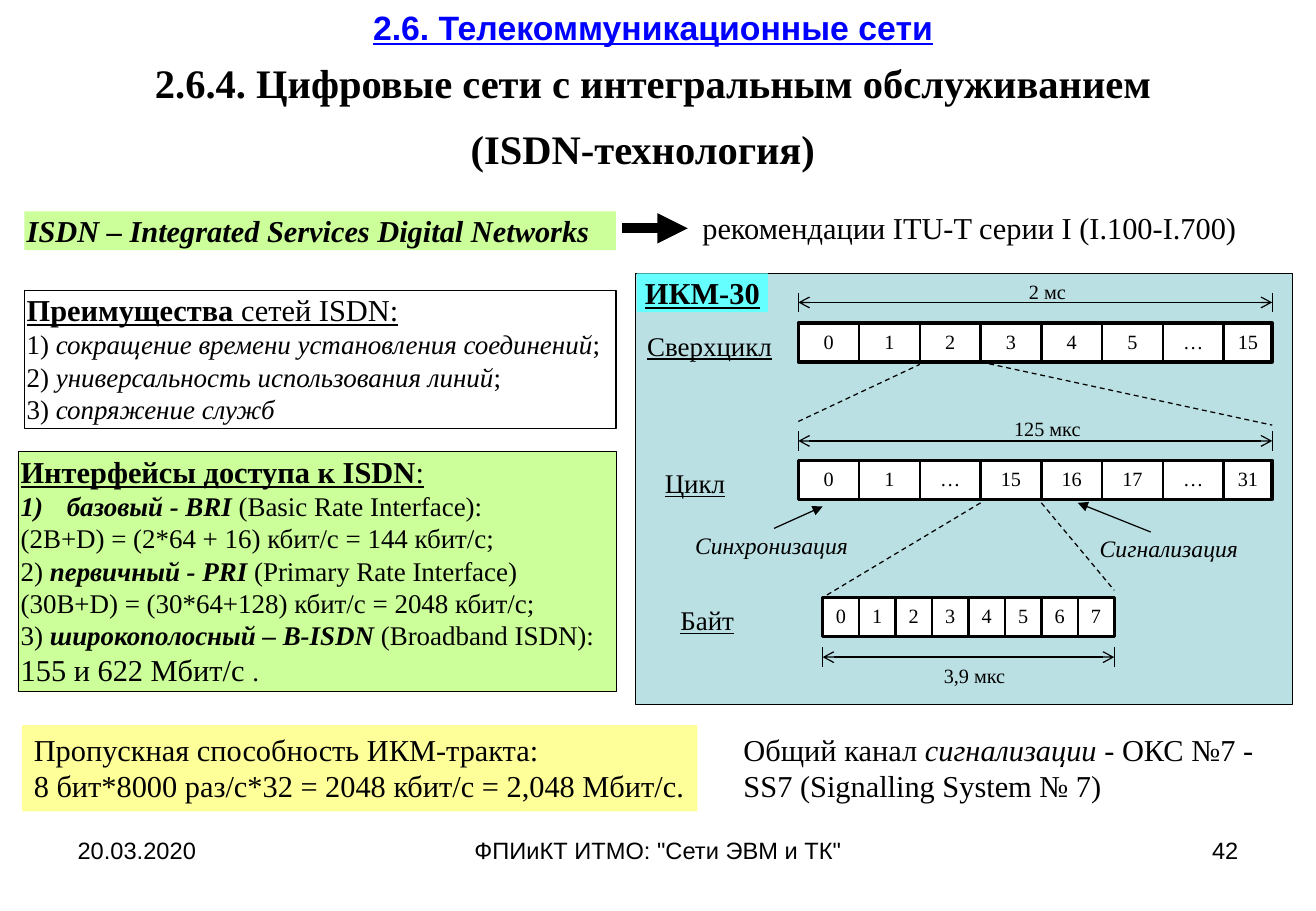
import pptx
import pptx.util
import pptx.dml.color
import pptx.enum.dml
import pptx.enum.shapes
import pptx.enum.text
from lxml import etree

PX = 9144
COLORS = {"black": "000000", "white": "FFFFFF", "blue": "0000FF", "panel": "BBE0E3",
          "green": "CCFF99", "cyan": "66FFFF", "yellow": "FFFF99"}
SERIF, SANS = "Times New Roman", "Arial"
TIGHT, DEFAULT, FLUSH = (2, 1), (10, 5), (0, 5)

TITLE = [
    (23, [("2.6. Телекоммуникационные сети", 20, "bu", SANS, "blue")]),
    (35, [("2.6.4. Цифровые сети с интегральным обслуживанием", 24, "b", SERIF, "black")]),
    (43, [("(ISDN-технология)", 24, "b", SERIF, "black"), (" ", 44, "", SANS, "black")]),
]
PANEL = (523, 225, 541, 355)
BOXES = [
    ((20, 174, 487, 32), "green", 0, TIGHT, "l",
     [[("ISDN – Integrated Services Digital Networks", 18, "bi")]]),
    ((524, 225, 108, 32), "cyan", 0, TIGHT, "c", [[("ИКМ-30", 18, "bu")]]),
    ((18, 597, 556, 71), "yellow", 0, DEFAULT, "l",
     [[("Пропускная способность ИКМ-тракта:", 18, "")],
      [("8 бит*8000 раз/с*32 = 2048 кбит/с = 2,048 Мбит/с.", 18, "")]]),
    ((20, 239, 487, 114), None, 0.75, TIGHT, "l",
     [[("Преимущества ", 18, "bu"), ("сетей ISDN:", 18, "u")],
      [("1) ", 16, ""), ("сокращение времени установления соединений", 16, "i"), (";", 16, "")],
      [("2) ", 16, ""), ("универсальность использования линий", 16, "i"), (";", 16, "")],
      [("3) ", 16, ""), ("сопряжение служб", 16, "i")]]),
    ((15, 372, 492, 197), "green", 0.5, TIGHT, "l",
     [[("Интерфейсы доступа к ISDN", 18, "bu"), (":", 18, "u")],
      [("базовый - BRI", 16, "bin"), (" (Basic Rate Interface):", 16, "")],
      [("(2В+D) = (2*64 + 16) кбит/с = 144 кбит/с;", 16, "")],
      [("2) ", 16, ""), ("первичный - PRI", 16, "bi"), (" (Primary Rate Interface)", 16, "")],
      [("(30В+D) = (30*64+128) кбит/с = 2048 кбит/с;", 16, "")],
      [("3) ", 16, ""), ("широкополосный – B-ISDN", 16, "bi"), (" (Broadband ISDN):", 16, "")],
      [("155 и 622 Мбит/с ", 18, ""), (".", 16, "")]]),
    ((602, 597, 461, 70), None, 0, DEFAULT, "l",
     [[("Общий канал ", 18, ""), ("сигнализации ", 18, "i"),
       ("- ОКС №7 - SS7 (Signalling System № 7)", 18, "")]]),
    ((576, 171, 478, 33), None, 0, TIGHT, "l",
     [[("рекомендации ITU-T серии I (I.100-I.700)", 18, "")]]),
    ((562, 432, 146, 36), None, 0, FLUSH, "c", [[("Синхронизация", 14, "i")]]),
    ((897, 435, 130, 32), None, 0, FLUSH, "c", [[("Сигнализация", 14, "i")]]),
]
FOOTERS = [(54, 253, "l", "20.03.2020"), (370, 343, "c", 'ФПИиКТ ИТМО: "Сети ЭВМ и ТК"'),
           (776, 253, "r", "42")]
STRIPS = [
    ("Сверхцикл", 519, (657, 266, 390), 50, "0 1 2 3 4 5 … 15", 249, "2 мс", (797, 225)),
    ("Цикл", 507, (657, 379, 390), 50, "0 1 … 15 16 17 … 31", 363, "125 мкс", (797, 338)),
    ("Байт", 517, (677, 492, 240), 30, "0 1 2 3 4 5 6 7", 541, "3,9 мкс", (737, 541)),
]
STRIP_H, TICK = 32, 8
ZOOMS = [(657, 347, 757, 300), (807, 298, 1047, 350), (807, 414, 677, 492), (857, 414, 917, 486)]
POINTERS = [(637, 435, 677, 417, 0.75), (947, 438, 887, 414, 0.75), (512, 188, 566, 188, 6)]

ALIGN = {"l": pptx.enum.text.PP_ALIGN.LEFT, "c": pptx.enum.text.PP_ALIGN.CENTER,
         "r": pptx.enum.text.PP_ALIGN.RIGHT}


def rgb(name):
    return pptx.dml.color.RGBColor.from_string(COLORS[name])


def add_drawing(parent, tag, **attrs):
    return etree.SubElement(parent, pptx.oxml.ns.qn("a:" + tag), attrs)


def add_rect(place, fill=None, line=0):
    sp = slide.shapes.add_shape(pptx.enum.shapes.MSO_SHAPE.RECTANGLE, *[v * PX for v in place])
    sp.shadow.inherit = False
    if fill:
        sp.fill.solid()
        sp.fill.fore_color.rgb = rgb(fill)
    else:
        sp.fill.background()
    if line:
        sp.line.color.rgb = rgb("black")
        sp.line.width = pptx.util.Pt(line)
    else:
        sp.line.fill.background()
    return sp


def set_frame(sp, insets):
    tf = sp.text_frame
    tf.word_wrap = True
    tf.vertical_anchor = pptx.enum.text.MSO_ANCHOR.TOP
    tf.margin_left = tf.margin_right = insets[0] * PX
    tf.margin_top = tf.margin_bottom = insets[1] * PX
    return tf


def add_run(p, text, size, style, font=SERIF, color="black"):
    r = p.add_run()
    r.text = text
    r.font.name = font
    r.font.size = pptx.util.Pt(size)
    r.font.bold, r.font.italic, r.font.underline = [flag in style for flag in "biu"]
    r.font.color.rgb = rgb(color)


def write(sp, insets, align, paragraphs):
    tf = set_frame(sp, insets)
    for i, runs in enumerate(paragraphs):
        p = tf.add_paragraph() if i else tf.paragraphs[0]
        p.alignment = ALIGN[align]
        if "n" in runs[0][2]:
            pPr = p._p.get_or_add_pPr()
            pPr.set("marL", str(38 * PX))
            pPr.set("indent", str(-38 * PX))
            add_drawing(pPr, "buFont", typeface=SERIF)
            add_drawing(pPr, "buAutoNum", type="arabicParenR")
        for run in runs:
            add_run(p, *run)


def add_textbox(place, insets, align, paragraphs):
    write(slide.shapes.add_textbox(*[v * PX for v in place]), insets, align, paragraphs)


def add_line(x1, y1, x2, y2, width=0.75, dash=False, head=None, tail=None):
    cn = slide.shapes.add_connector(pptx.enum.shapes.MSO_CONNECTOR.STRAIGHT,
                                    *[v * PX for v in (x1, y1, x2, y2)])
    cn.line.color.rgb = rgb("black")
    cn.line.width = pptx.util.Pt(width)
    if dash:
        cn.line.dash_style = pptx.enum.dml.MSO_LINE.DASH
    ln = cn.line._get_or_add_ln()
    for tag, kind in (("headEnd", head), ("tailEnd", tail)):
        if kind:
            add_drawing(ln, tag, type=kind)
    add_drawing(cn._element.spPr, "effectLst")
    return cn


def add_strip(name, name_x, place, cell, labels, dim_y, dim, dim_at):
    left, top, width = place
    right, bottom = left + width, top + STRIP_H
    labels = labels.split()
    frame = add_rect((left, top, width, STRIP_H), "white", 2)
    p = set_frame(frame, FLUSH).paragraphs[0]
    p.alignment = ALIGN["l"]
    tabs = add_drawing(p._p.get_or_add_pPr(), "tabLst")
    for i in range(len(labels)):
        center = (i * cell + min((i + 1) * cell, width)) // 2
        add_drawing(tabs, "tab", pos=str(center * PX), algn="ctr")
    add_run(p, "".join("\t" + label for label in labels), 12, "")
    for i in range(1, len(labels)):
        x = left + i * cell
        divider = add_line(x, top, x, bottom, 1.5)
        if 2 * i * cell == width:
            divider.begin_connect(frame, 0)
            divider.end_connect(frame, 2)
    for x in (left, right):
        add_line(x, dim_y - TICK, x, dim_y + TICK)
    add_line(left, dim_y, right, dim_y, head="arrow", tail="arrow")
    add_textbox((*dim_at, 130, 24), DEFAULT, "c", [[(dim, 12, "")]])
    add_textbox((name_x, top, 130, STRIP_H), DEFAULT, "c", [[(name, 16, "u")]])


prs = pptx.Presentation()
prs.slide_width, prs.slide_height = 1083 * PX, 750 * PX
slide = prs.slides.add_slide(prs.slide_layouts[6])

add_rect(PANEL, "panel", 0.75)
add_textbox((14, 6, 1047, 148), (10, 1), "c", [runs for _, runs in TITLE])
for p, (spacing, _) in zip(slide.shapes[-1].text_frame.paragraphs, TITLE):
    p.line_spacing = pptx.util.Pt(spacing)
for strip in STRIPS:
    add_strip(*strip)
for zoom in ZOOMS:
    add_line(*zoom, dash=True)
for pointer in POINTERS:
    add_line(*pointer, tail="triangle")
for place, fill, line, insets, align, paragraphs in BOXES:
    if fill or line:
        write(add_rect(place, fill, line), insets, align, paragraphs)
    else:
        add_textbox(place, insets, align, paragraphs)
for x, width, align, text in FOOTERS:
    add_textbox((x, 683, width, 52), DEFAULT, align, [[(text, 14, "", SANS)]])

prs.save("out.pptx")
